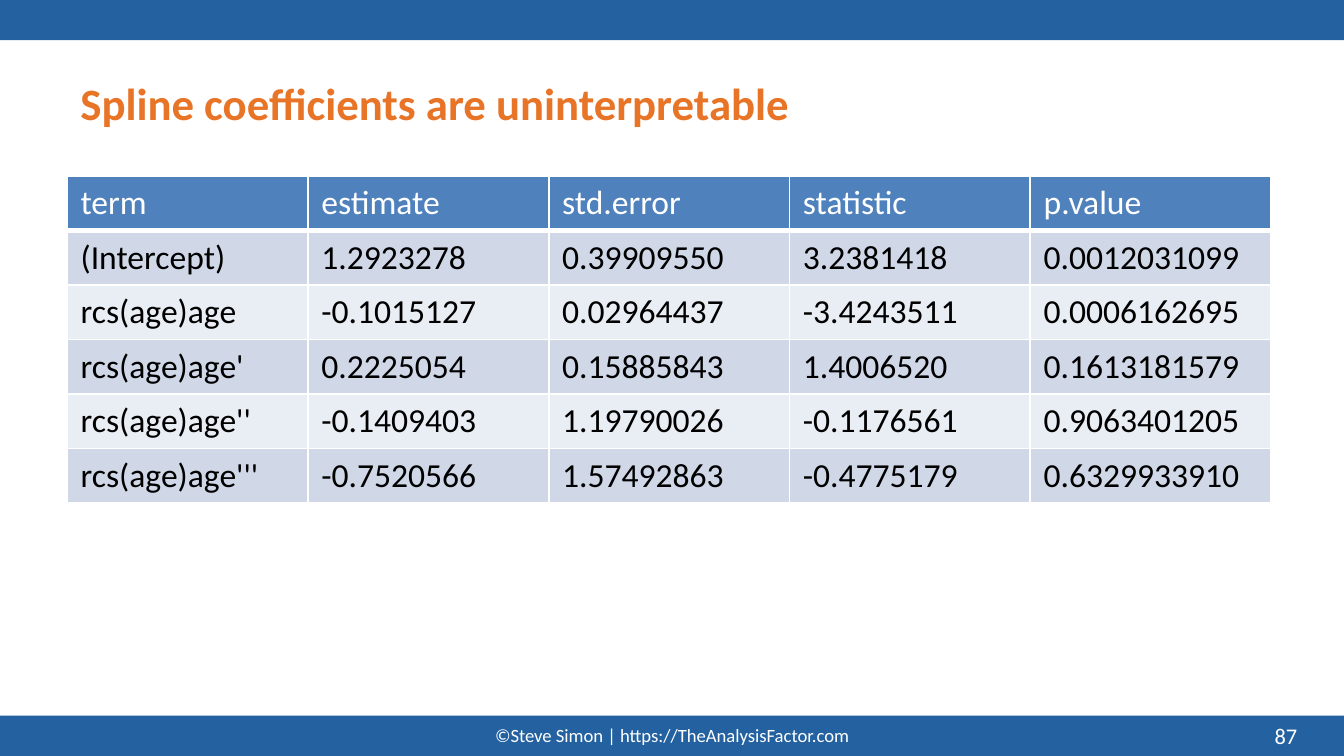
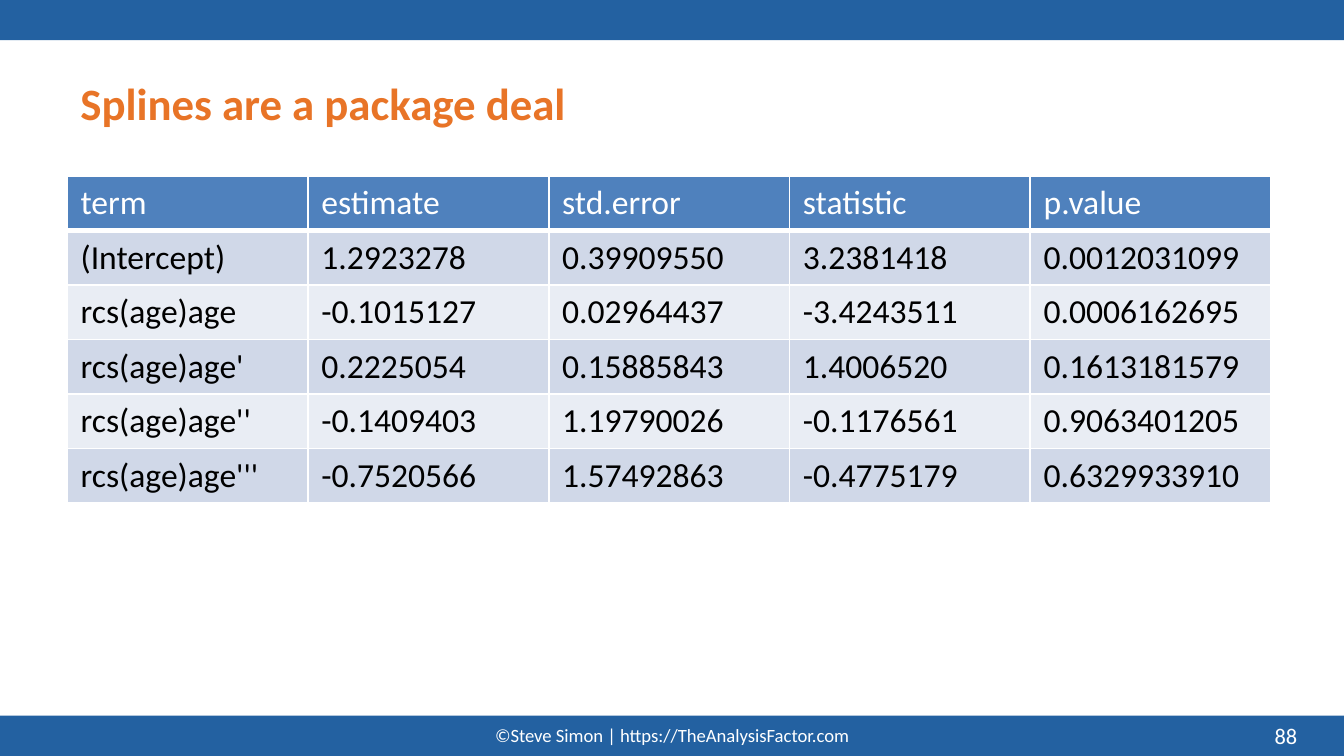
from lxml import etree
from pptx import Presentation
from pptx.dml.color import RGBColor
from pptx.enum.shapes import MSO_SHAPE
from pptx.enum.text import MSO_ANCHOR as ANCHOR, PP_ALIGN as ALIGN
from pptx.oxml.ns import qn
from pptx.util import Pt

WIDTH, HEIGHT, BAND = 720, 405, 21.6
FONT = "Calibri"
BLUE, ORANGE, WHITE, BLACK = "2361A1", "E87427", "FFFFFF", "000000"
HEADER, STRIPES = "4F81BD", ("E9EDF4", "D0D8E8")
FOOTER = "©Steve Simon | https://TheAnalysisFactor.com"
FIRST_PAGE = 87
TITLES = ["Spline coefficients are uninterpretable", "Splines are a package deal"]
COEFFICIENTS = [
    ["term", "estimate", "std.error", "statistic", "p.value"],
    ["(Intercept)", "1.2923278", "0.39909550", "3.2381418", "0.0012031099"],
    ["rcs(age)age", "-0.1015127", "0.02964437", "-3.4243511", "0.0006162695"],
    ["rcs(age)age'", "0.2225054", "0.15885843", "1.4006520", "0.1613181579"],
    ["rcs(age)age''", "-0.1409403", "1.19790026", "-0.1176561", "0.9063401205"],
    ["rcs(age)age'''", "-0.7520566", "1.57492863", "-0.4775179", "0.6329933910"],
]


def rgb(value):
    """Turn a hex string into a colour."""
    return RGBColor.from_string(value)


def set_text(tf, text, size, color, bold=False, align=ALIGN.LEFT):
    """Write one formatted paragraph into a text frame."""
    tf.text = text
    p = tf.paragraphs[0]
    p.alignment = align
    for r in p.runs:
        r.font.name = FONT
        r.font.size = Pt(size)
        r.font.bold = bold
        r.font.color.rgb = rgb(color)


def add_text(slide, box, text, size, color, bold=False, align=ALIGN.LEFT,
             anchor=ANCHOR.MIDDLE):
    """Add a wrapping text box."""
    tf = slide.shapes.add_textbox(*map(Pt, box)).text_frame
    tf.word_wrap = True
    tf.vertical_anchor = anchor
    set_text(tf, text, size, color, bold, align)


def add_band(slide, top):
    """Add a full-width blue band."""
    sp = slide.shapes.add_shape(MSO_SHAPE.RECTANGLE, 0, Pt(top), Pt(WIDTH), Pt(BAND))
    sp.shadow.inherit = False
    sp.fill.solid()
    sp.fill.fore_color.rgb = rgb(BLUE)
    sp.line.fill.background()


def set_borders(cell, color, **widths):
    """Draw cell borders, with a width in points for each side."""
    tc_pr = cell._tc.get_or_add_tcPr()
    for side, width in widths.items():
        ln = etree.SubElement(tc_pr, qn(f"a:ln{side}"), w=str(Pt(width)))
        fill = etree.SubElement(ln, qn("a:solidFill"))
        etree.SubElement(fill, qn("a:srgbClr"), val=color)


def add_table(slide, rows, left, top, col_width, row_height):
    """Add a striped table with a coloured header row."""
    n_rows, n_cols = len(rows), len(rows[0])
    table = slide.shapes.add_table(n_rows, n_cols, Pt(left), Pt(top),
                                   Pt(col_width * n_cols), Pt(row_height * n_rows)).table
    for i, row in enumerate(rows):
        for j, text in enumerate(row):
            cell = table.cell(i, j)
            if i == 0:
                set_borders(cell, WHITE, L=1, R=1, T=1, B=3)
            cell.fill.solid()
            cell.fill.fore_color.rgb = rgb(STRIPES[i % 2] if i else HEADER)
            set_text(cell.text_frame, text, 18, BLACK if i else WHITE)


def add_page(prs, title, number):
    """Add a slide with bands, title, footer and page number."""
    slide = prs.slides.add_slide(prs.slide_layouts[6])
    bottom = HEIGHT - BAND
    add_band(slide, 0)
    add_band(slide, bottom)
    add_text(slide, (36, 21, 648, 67.5), title, 24, ORANGE, bold=True)
    add_text(slide, (213, 384.5, 294, 19.4), FOOTER, 10, WHITE,
             align=ALIGN.CENTER, anchor=ANCHOR.TOP)
    add_text(slide, (534, bottom, 168, BAND), str(number), 12, WHITE, align=ALIGN.RIGHT)
    return slide


def main():
    """Build the slides and save them."""
    prs = Presentation()
    prs.slide_width, prs.slide_height = Pt(WIDTH), Pt(HEIGHT)
    for number, title in enumerate(TITLES, FIRST_PAGE):
        slide = add_page(prs, title, number)
        add_table(slide, COEFFICIENTS, 36, 94.3, 129, 29.2)
    prs.save("out.pptx")


if __name__ == "__main__":
    main()
